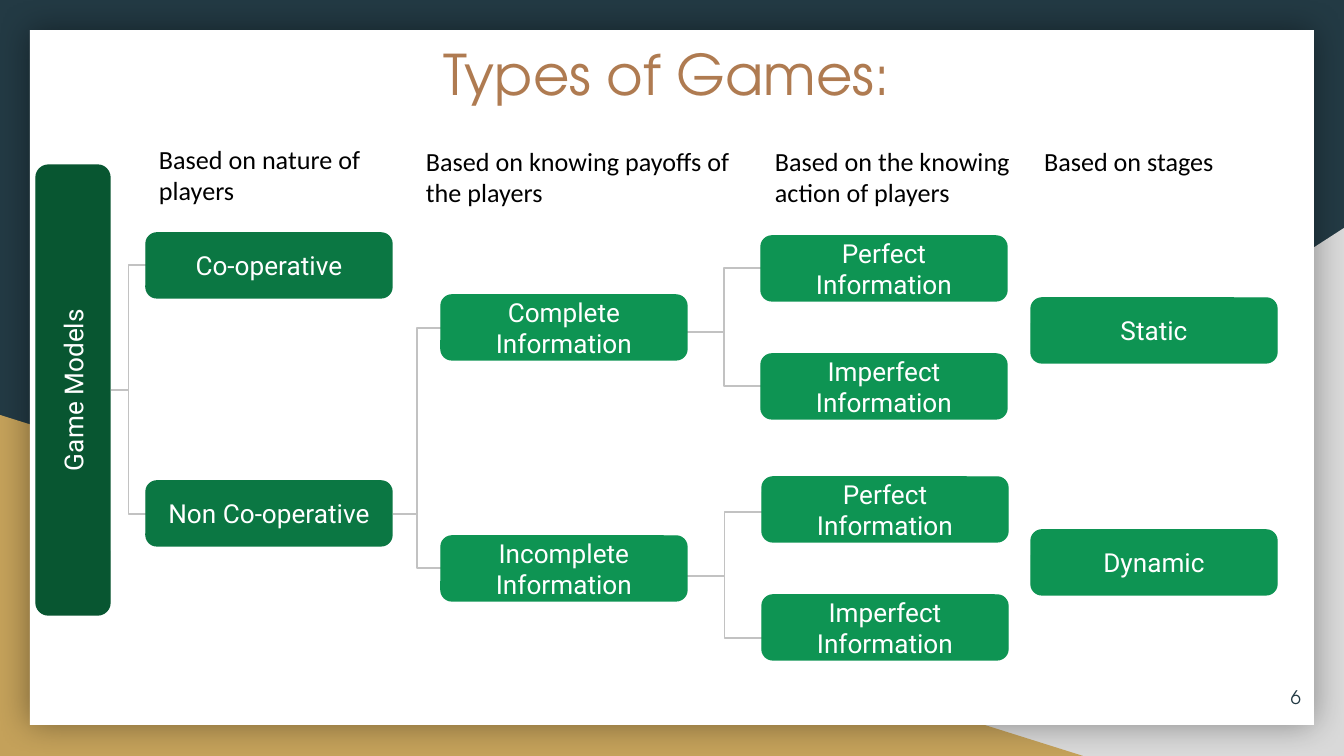
from lxml.etree import SubElement
from pptx import Presentation
from pptx.dml.color import RGBColor
from pptx.enum.shapes import MSO_CONNECTOR, MSO_SHAPE
from pptx.enum.text import MSO_ANCHOR, MSO_AUTO_SIZE, PP_ALIGN
from pptx.oxml.ns import qn
from pptx.util import Emu, Pt

EMU_PER_PX = 914400 / 134.4
BOX_W, BOX_H = 246, 65
DARK, MID, LIGHT = "085631", "0B7743", "0E9453"
DISPLAY_FONT = "TeX Gyre Adventor"

HEADINGS = [
    (146, 130, 294, "Based on nature of players"),
    (413, 132, 349, "Based on knowing payoffs of the players"),
    (762, 132, 300, "Based on the knowing action of players"),
    (1031, 132, 246, "Based on stages"),
]
BOXES = [
    (146, 233, MID, "Co-operative"),
    (146, 481, MID, "Non Co-operative"),
    (441, 295, LIGHT, "Complete Information"),
    (441, 536, LIGHT, "Incomplete Information"),
    (761, 236, LIGHT, "Perfect Information"),
    (761, 354, LIGHT, "Imperfect Information"),
    (762, 477, LIGHT, "Perfect Information"),
    (762, 595, LIGHT, "Imperfect Information"),
    (1031, 298, LIGHT, "Static"),
    (1031, 530, LIGHT, "Dynamic"),
]
FORKS = [
    ((111, 390), 146, (265, 514)),
    ((393, 514), 441, (328, 568)),
    ((687, 332), 761, (268, 386)),
    ((687, 576), 762, (512, 638)),
]


def px(n):
    return Emu(round(n * EMU_PER_PX))


def rgb(value):
    return RGBColor.from_string(value)


def write(sp, text, size, font, color, align=PP_ALIGN.LEFT, anchor=MSO_ANCHOR.TOP):
    tf = sp.text_frame
    tf.word_wrap = True
    tf.auto_size = MSO_AUTO_SIZE.NONE
    tf.vertical_anchor = anchor
    tf.margin_left = tf.margin_right = tf.margin_top = tf.margin_bottom = px(13)
    tf.text = text
    p = tf.paragraphs[0]
    p.alignment = align
    p.font.size = Pt(size)
    p.font.name = font
    p.font.color.rgb = rgb(color)
    return p


def add_filled(s, kind, x, y, w, h, fill):
    sp = s.shapes.add_shape(kind, px(x), px(y), px(w), px(h))
    sp.shadow.inherit = False
    sp.fill.solid()
    sp.fill.fore_color.rgb = rgb(fill)
    sp.line.fill.background()
    return sp


def add_glow_shadow(sp):
    effects = sp._element.spPr.find(qn("a:effectLst"))
    shadow = SubElement(effects, qn("a:outerShdw"), blurRad=str(Pt(18)), dist="0",
                        dir="0", algn="ctr", rotWithShape="0")
    color = SubElement(shadow, qn("a:srgbClr"), val="000000")
    SubElement(color, qn("a:alpha"), val="40000")


def add_backdrop(s):
    s.background.fill.solid()
    s.background.fill.fore_color.rgb = rgb("233A44")
    grey = add_filled(s, MSO_SHAPE.RIGHT_TRIANGLE, 527, 228, 817, 528, "D9D9D9")
    grey._element.spPr.xfrm.set("flipH", "1")
    add_filled(s, MSO_SHAPE.RIGHT_TRIANGLE, 0, 415, 1083, 341, "C4A15A")
    add_glow_shadow(add_filled(s, MSO_SHAPE.RECTANGLE, 30, 30, 1284, 695, "FFFFFF"))


def set_title(s, text):
    title = s.shapes.title
    title.left, title.top, title.width, title.height = px(28), px(27), px(1249), px(102)
    p = write(title, text, 30, DISPLAY_FONT, "AF7B51")
    pPr = p._p.get_or_add_pPr()
    pPr.set("marL", str(px(336)))
    pPr.set("indent", str(px(67)))
    s.shapes._spTree.append(title._element)


def add_fork(s, start, end_x, end_ys):
    for end_y in end_ys:
        c = s.shapes.add_connector(MSO_CONNECTOR.ELBOW, px(start[0]), px(start[1]),
                                   px(end_x), px(end_y))
        c.line.color.rgb = rgb("C2C2C2")
        c.line.width = Pt(0.75)
        SubElement(c._element.spPr, qn("a:effectLst"))


def add_box(s, x, y, fill, text, w=BOX_W, h=BOX_H):
    sp = add_filled(s, MSO_SHAPE.ROUNDED_RECTANGLE, x, y, w, h, fill)
    sp.line.color.rgb = rgb(fill)
    sp.line.width = Pt(0.75)
    write(sp, text, 14, "Roboto", "FFFFFF", PP_ALIGN.CENTER, MSO_ANCHOR.MIDDLE)
    return sp


def add_text(s, x, y, w, h, *args):
    write(s.shapes.add_textbox(px(x), px(y), px(w), px(h)), *args)


def main():
    prs = Presentation()
    prs.slide_width, prs.slide_height = px(1344), px(756)
    s = prs.slides.add_slide(prs.slide_layouts[5])
    add_backdrop(s)
    set_title(s, "Types of Games:")
    for fork in FORKS:
        add_fork(s, *fork)
    root = add_box(s, -152, 353, DARK, "Game Models", 450, 74)
    root.rotation = 270
    for box in BOXES:
        add_box(s, *box)
    for x, y, w, text in HEADINGS:
        add_text(s, x, y, w, 102, text, 14, "Calibri", "000000")
    add_text(s, 1234, 668, 80, 58, "6", 10, DISPLAY_FONT, "233A44",
             PP_ALIGN.RIGHT, MSO_ANCHOR.MIDDLE)
    prs.save("out.pptx")


if __name__ == "__main__":
    main()
